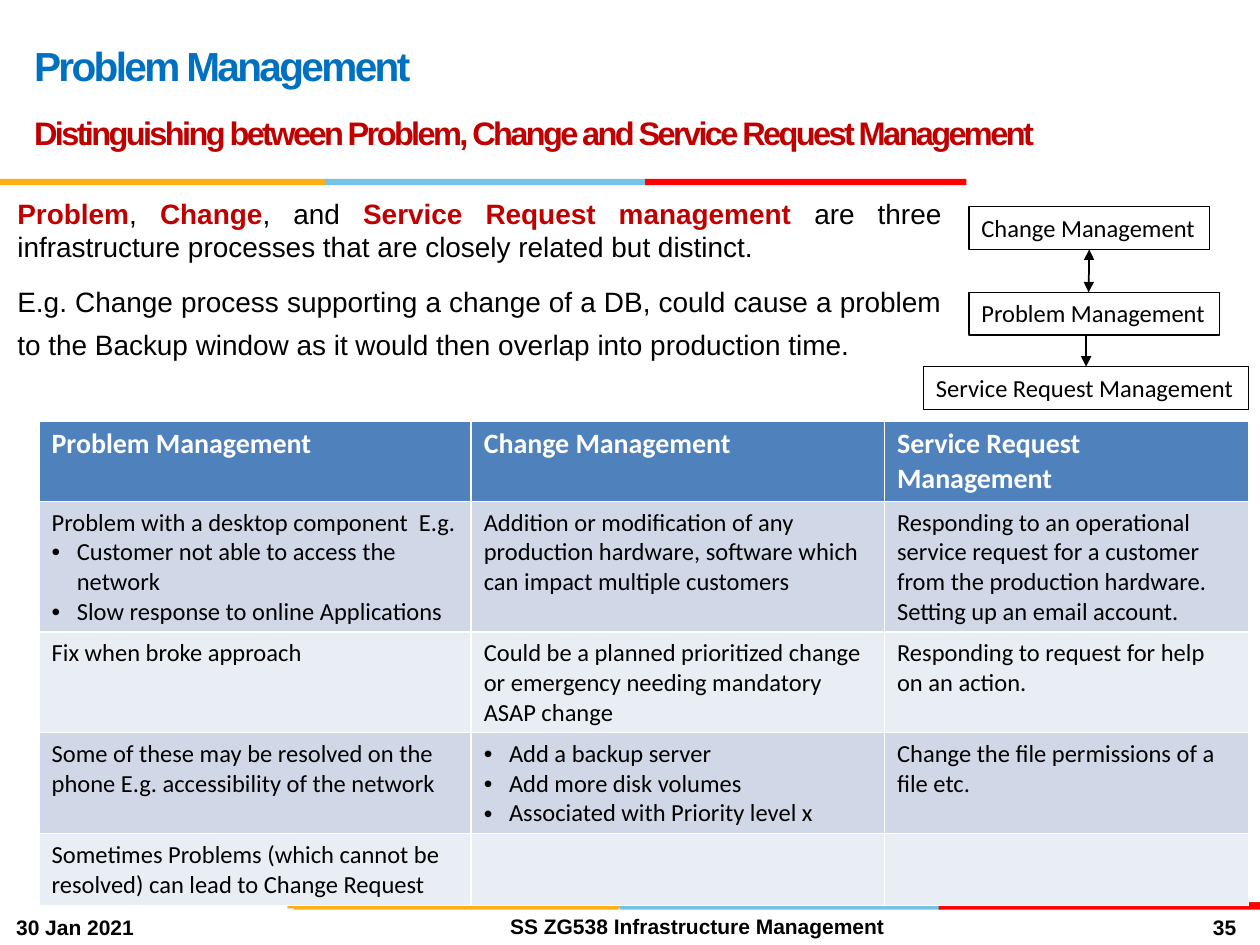
from lxml.etree import SubElement
from pptx import Presentation
from pptx.dml.color import RGBColor
from pptx.enum.shapes import MSO_CONNECTOR, MSO_SHAPE
from pptx.enum.text import MSO_ANCHOR, MSO_AUTO_SIZE, PP_ALIGN
from pptx.oxml.ns import qn
from pptx.util import Inches, Pt

COLORS = {
    "black": "000000", "white": "FFFFFF", "title": "0070C0", "accent": "C00000",
    "amber": "FCB017", "sky": "76C2E5", "red": "FF0000", "crimson": "E31C24",
    "header": "4F81BD", "band": "D0D8E8", "light": "E9EDF4",
}
BARS = [
    (7.16, [("sky", 5.06, 2.55), ("crimson", 7.55, 2.45), ("amber", 2.28, 2.82)]),
    (7.17, [("sky", 4.92, 2.55), ("amber", 2.33, 2.58), ("red", 7.45, 2.55)]),
    (1.42, [("sky", 2.58, 2.55), ("amber", 0, 2.58), ("red", 5.12, 2.55)]),
]
INTRO = [
    ("Problem", True), (", ", False), ("Change", True), (", and ", False),
    ("Service Request management ", True),
    ("are three infrastructure processes that are closely related but distinct.", False),
]
EXAMPLE = ("E.g. Change process supporting a change of a DB, could cause a problem "
           "to the Backup window as it would then overlap into production time.")
COLUMNS = [3.43, 3.28, 2.89]
ROWS = [0.64, 1.02, 0.8, 0.8, 0.57]
TABLE = [
    ["Problem Management", "Change Management", "Service Request Management"],
    ["Problem with a desktop component  E.g.\n"
     "• Customer not able to access the network\n"
     "• Slow response to online Applications",
     "Addition or modification of any production hardware, software which can "
     "impact multiple customers",
     "Responding to an operational service request for a customer from the "
     "production hardware. Setting up an email account."],
    ["Fix when broke approach",
     "Could be a planned prioritized change or emergency needing mandatory ASAP change",
     "Responding to request for help on an action."],
    ["Some of these may be resolved on the phone E.g. accessibility of the network",
     "• Add a backup server\n• Add more disk volumes\n• Associated with Priority level x",
     "Change the file permissions of a file etc."],
    ["Sometimes Problems (which cannot be resolved) can lead to Change Request", "", ""],
]


def rgb(name):
    """Return the named colour."""
    return RGBColor.from_string(COLORS[name])


def style(r, size, color="black", bold=False, font="Arial"):
    """Format one run."""
    r.font.name, r.font.size, r.font.bold = font, Pt(size), bold
    r.font.color.rgb = rgb(color)


def add_bar(s, color, left, top, width):
    """Add one segment of a coloured rule."""
    sp = s.shapes.add_shape(MSO_SHAPE.RECTANGLE, Inches(left), Inches(top),
                            Inches(width), Inches(0.05))
    sp.shadow.inherit = False
    sp.fill.solid()
    sp.fill.fore_color.rgb = rgb(color)
    sp.line.fill.background()


def set_title(s):
    """Fill the title placeholder with heading and subheading."""
    sp = s.shapes.title
    sp.left, sp.top, sp.width, sp.height = Inches(0.17), 0, Inches(8.52), Inches(1.42)
    tf = sp.text_frame
    tf.text = ("Problem Management\n"
               "Distinguishing between Problem, Change and Service Request Management")
    tf.auto_size, tf.vertical_anchor = MSO_AUTO_SIZE.NONE, MSO_ANCHOR.MIDDLE
    for p, size, color in zip(tf.paragraphs, (23.2, 18.6), ("title", "accent")):
        p.alignment, p.line_spacing = PP_ALIGN.LEFT, Pt(36)
        style(p.runs[0], size, color, True)
        p.runs[0].font._element.set("spc", "-150")


def add_body(s):
    """Add the two introductory paragraphs."""
    tf = s.shapes.add_textbox(Inches(0.04), Inches(1.51), Inches(7.53), Inches(1.6)).text_frame
    tf.word_wrap = True
    p = tf.paragraphs[0]
    for text, key in INTRO:
        r = p.add_run()
        r.text = text
        style(r, 16, "accent" if key else "black", key)
    p = tf.add_paragraph()
    p.text = EXAMPLE
    p.line_spacing = 1.3
    style(p.runs[0], 16)
    for p in tf.paragraphs:
        p.alignment, p.space_before = PP_ALIGN.JUSTIFY, Pt(6)


def add_footer(s, text, left, top, width, height, align):
    """Add one bold footer text."""
    tf = s.shapes.add_textbox(Inches(left), Inches(top), Inches(width), Inches(height)).text_frame
    tf.word_wrap, tf.vertical_anchor = True, MSO_ANCHOR.MIDDLE
    tf.text = text
    tf.paragraphs[0].alignment = align
    style(tf.paragraphs[0].runs[0], 12, bold=True)


def add_box(s, text, left, top, width):
    """Add one outlined process box."""
    sp = s.shapes.add_shape(MSO_SHAPE.RECTANGLE, Inches(left), Inches(top),
                            Inches(width), Inches(0.34))
    sp.shadow.inherit = False
    sp.fill.background()
    sp.line.color.rgb, sp.line.width = rgb("black"), Pt(0.75)
    tf = sp.text_frame
    tf.word_wrap, tf.vertical_anchor = False, MSO_ANCHOR.TOP
    tf.text = text
    tf.paragraphs[0].alignment = PP_ALIGN.LEFT
    style(tf.paragraphs[0].runs[0], 14, font="Calibri")
    return sp


def add_arrow(s, x, top, bottom, ends):
    """Add a vertical arrow with the given line ends."""
    c = s.shapes.add_connector(MSO_CONNECTOR.STRAIGHT, Inches(x), Inches(top),
                               Inches(x), Inches(bottom))
    c.line.color.rgb, c.line.width = rgb("black"), Pt(1)
    ln = c.line._get_or_add_ln()
    for end in ends:
        SubElement(ln, qn(f"a:{end}"), type="triangle")
    SubElement(c._element.spPr, qn("a:effectLst"))
    return c


def set_bullet(p):
    """Give a paragraph a hanging bullet."""
    pPr = p._p.get_or_add_pPr()
    pPr.set("marL", str(Inches(0.2)))
    pPr.set("indent", str(-Inches(0.2)))
    SubElement(pPr, qn("a:buFont"), typeface="Arial")
    SubElement(pPr, qn("a:buChar"), char="•")


def fill_cell(cell, text, row):
    """Write and colour one table cell."""
    header = row == 0
    cell.fill.solid()
    cell.fill.fore_color.rgb = rgb("header" if header else "band" if row % 2 else "light")
    tf = cell.text_frame
    tf.text = text
    for p in tf.paragraphs:
        if p.text.startswith("• "):
            p.text = p.text[2:]
            set_bullet(p)
        for r in p.runs:
            style(r, 16 if header else 14, "white" if header else "black", header, "Calibri")


def add_comparison(s):
    """Add the table comparing the three processes."""
    table = s.shapes.add_table(len(ROWS), len(COLUMNS), Inches(0.31), Inches(3.34),
                               Inches(sum(COLUMNS)), Inches(sum(ROWS))).table
    for column, width in zip(table.columns, COLUMNS):
        column.width = Inches(width)
    for i, height in enumerate(ROWS):
        table.rows[i].height = Inches(height)
        for j, text in enumerate(TABLE[i]):
            fill_cell(table.cell(i, j), text, i)


def main():
    """Build and save the slide."""
    prs = Presentation()
    prs.slide_width, prs.slide_height = Inches(10), Inches(7.5)
    s = prs.slides.add_slide(prs.slide_layouts[5])
    for top, segments in BARS:
        for color, left, width in segments:
            add_bar(s, color, left, top, width)
    set_title(s)
    add_body(s)
    add_footer(s, "30 Jan 2021", 0.03, 7.21, 1.14, 0.3, PP_ALIGN.LEFT)
    add_footer(s, "SS ZG538 Infrastructure Management", 3.92, 7.15, 3.23, 0.4, PP_ALIGN.CENTER)
    change = add_box(s, "Change Management", 7.69, 1.64, 1.91)
    add_box(s, "Problem Management", 7.69, 2.32, 1.99)
    service = add_box(s, "Service Request Management", 7.33, 2.91, 2.58)
    add_arrow(s, 8.64, 1.98, 2.32, ("headEnd", "tailEnd")).begin_connect(change, 2)
    add_arrow(s, 8.62, 2.66, 2.91, ("tailEnd",)).end_connect(service, 0)
    add_comparison(s)
    add_footer(s, "35", 7.58, 7.16, 2.33, 0.4, PP_ALIGN.RIGHT)
    prs.save("out.pptx")


if __name__ == "__main__":
    main()
